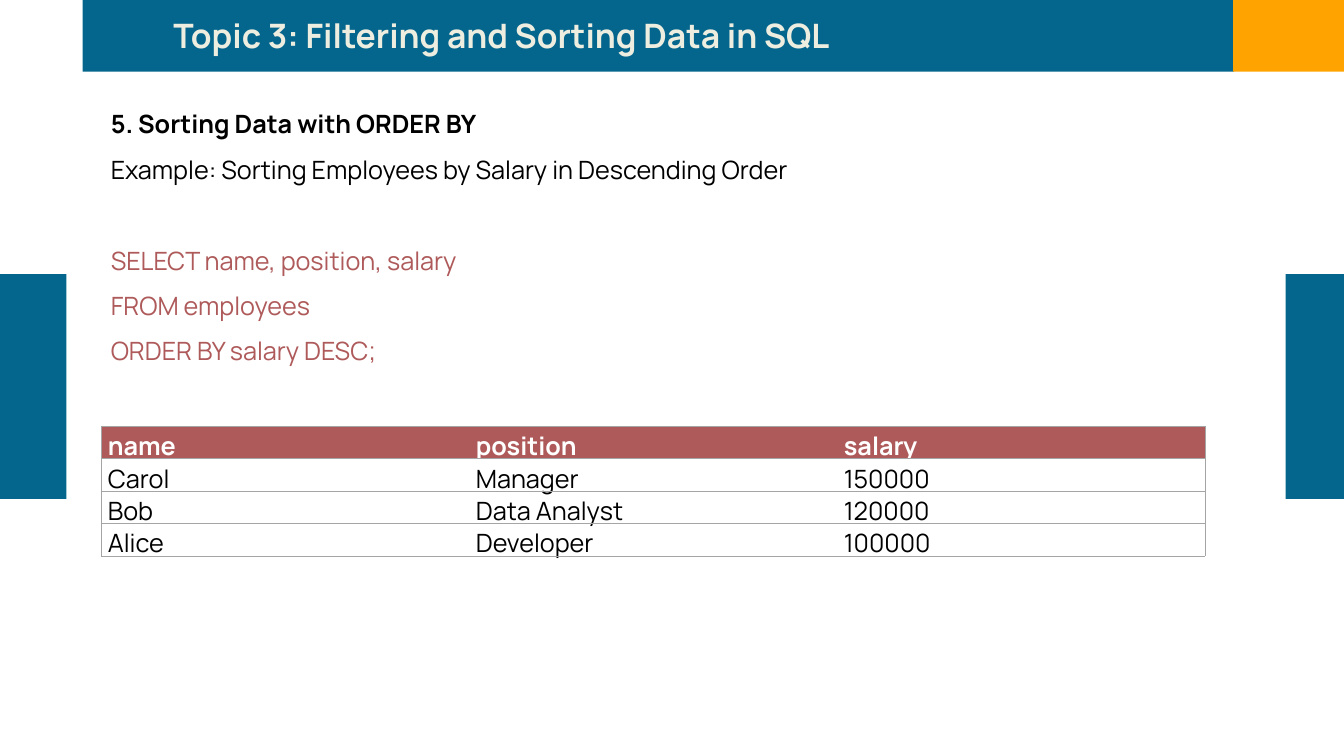
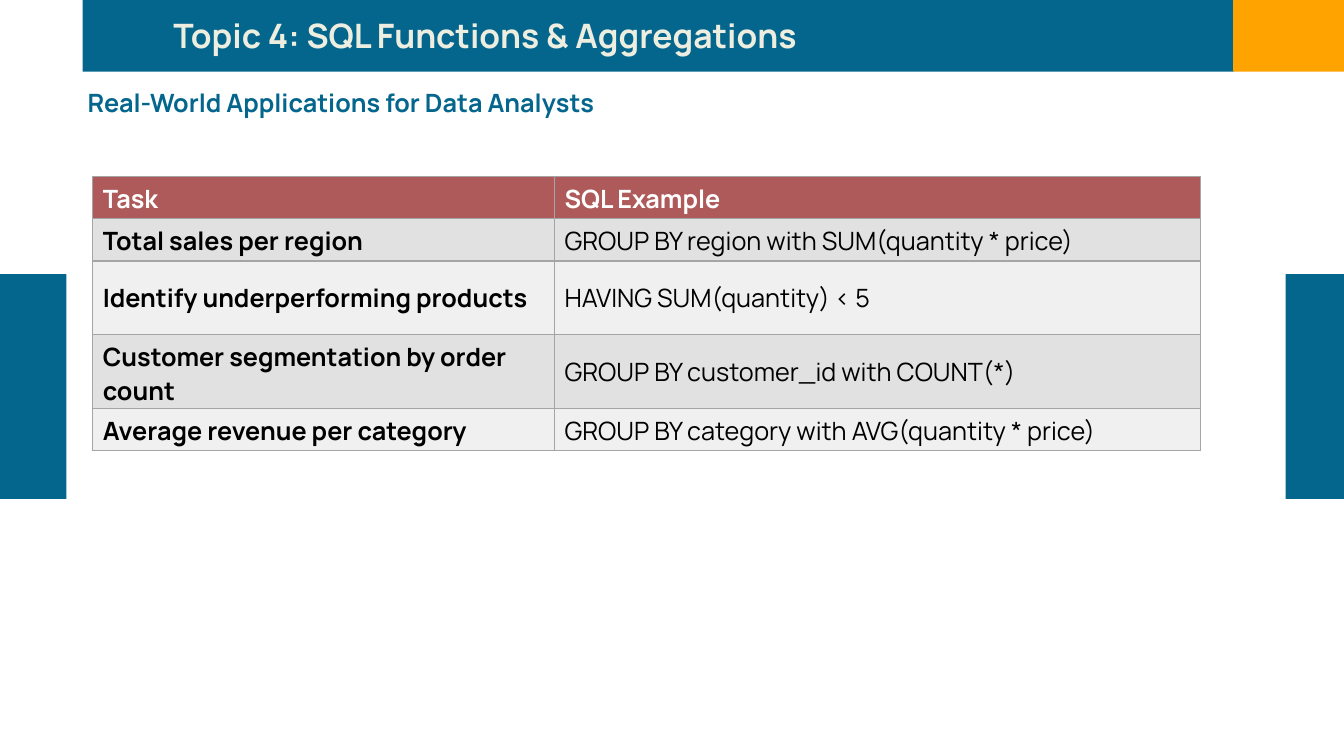
from dataclasses import dataclass

from lxml.etree import SubElement
from pptx import Presentation
from pptx.dml.color import RGBColor
from pptx.enum.shapes import MSO_SHAPE
from pptx.enum.text import MSO_ANCHOR
from pptx.oxml.ns import qn
from pptx.util import Inches, Pt


@dataclass(frozen=True)
class Theme:
    font: str = "Manrope"
    title_size: int = 24
    body_size: int = 18
    blue: str = "05668D"
    orange: str = "FFA300"
    cream: str = "EDEDE0"
    red: str = "AF5A5A"
    black: str = "000000"
    white: str = "FFFFFF"
    border: str = "A5A5A5"
    stripes: tuple = ("E1E1E1", "F0F0F0")


THEME = Theme()
BANDS = (
    ((0.82, 0, 11.42, 0.71), THEME.blue),
    ((12.23, 0, 1.1, 0.71), THEME.orange),
    ((0, 2.72, 0.66, 2.23), THEME.blue),
    ((12.75, 2.72, 0.58, 2.23), THEME.blue),
)


def style_paragraph(para, color, bold=False, size=THEME.body_size):
    for span in para.runs:
        span.font.name = THEME.font
        span.font.size = Pt(size)
        span.font.bold = bold
        span.font.color.rgb = RGBColor.from_string(color)


def add_text(page, box, lines, size=THEME.body_size, anchor=MSO_ANCHOR.TOP):
    frame = page.shapes.add_textbox(*map(Inches, box)).text_frame
    frame.word_wrap = True
    frame.vertical_anchor = anchor
    frame.text = "\n".join(text for text, color, bold in lines)
    for para, (text, color, bold) in zip(frame.paragraphs, lines):
        style_paragraph(para, color, bold, size)
    return frame


def add_page(deck, title):
    page = deck.slides.add_slide(deck.slide_layouts[6])
    for box, color in BANDS:
        band = page.shapes.add_shape(MSO_SHAPE.RECTANGLE, *map(Inches, box))
        band.shadow.inherit = False
        band.fill.solid()
        band.fill.fore_color.rgb = RGBColor.from_string(color)
        band.line.fill.background()
    add_text(page, (1.62, 0.1, 9.05, 0.5), [(title, THEME.cream, True)], THEME.title_size)
    return page


def set_borders(cell, width, hidden=()):
    properties = cell._tc.get_or_add_tcPr()
    for index, edge in enumerate(("lnL", "lnR", "lnT", "lnB")):
        line = SubElement(properties, qn(f"a:{edge}"), w=str(Pt(width)))
        if edge in hidden:
            SubElement(line, qn("a:noFill"))
        else:
            fill = SubElement(line, qn("a:solidFill"))
            SubElement(fill, qn("a:srgbClr"), val=THEME.border)
        properties.insert(index, line)


def add_grid(page, left, top, widths, heights, rows):
    box = map(Inches, (left, top, sum(widths), sum(heights)))
    table = page.shapes.add_table(len(rows), len(widths), *box).table
    for column, width in zip(table.columns, widths):
        column.width = Inches(width)
    for row, height, values in zip(table.rows, heights, rows):
        row.height = Inches(height)
        for cell, value in zip(row.cells, values):
            cell.text_frame.text = value
    return table


def paint_cell(cell, fill, color, bold):
    if fill:
        cell.fill.solid()
        cell.fill.fore_color.rgb = RGBColor.from_string(fill)
    else:
        cell.fill.background()
    style_paragraph(cell.text_frame.paragraphs[0], color, bold)


def add_result_table(page, left, top, rows):
    column_count = len(rows[0])
    table = add_grid(page, left, top, [3.65] * column_count, [0.32] * len(rows), rows)
    for row_index, row in enumerate(table.rows):
        header = row_index == 0
        for column_index, cell in enumerate(row.cells):
            paint_cell(cell, THEME.red if header else None,
                       THEME.white if header else THEME.black, header)
            cell.margin_left = cell.margin_right = Inches(0.07)
            cell.margin_top = cell.margin_bottom = 0
            para = cell.text_frame.paragraphs[0]
            para.line_spacing = 1.07
            para.space_after = Pt(8)
            hidden = set()
            if column_index > 0:
                hidden.add("lnL")
            if column_index < column_count - 1:
                hidden.add("lnR")
            set_borders(cell, 0.5, hidden)


def add_task_table(page, left, top, rows):
    table = add_grid(page, left, top, (4.58, 6.41), (0.42, 0.42, 0.73, 0.73, 0.42), rows)
    for row_index, row in enumerate(table.rows):
        header = row_index == 0
        fill = THEME.red if header else THEME.stripes[(row_index - 1) % 2]
        for column_index, cell in enumerate(row.cells):
            paint_cell(cell, fill, THEME.white if header else THEME.black,
                       header or column_index == 0)
            cell.vertical_anchor = MSO_ANCHOR.MIDDLE
            set_borders(cell, 1)


def add_sorting_page(deck):
    page = add_page(deck, "Topic 3: Filtering and Sorting Data in SQL")
    frame = add_text(page, (1, 0.88, 10.28, 2.78), [
        ("5. Sorting Data with ORDER BY", THEME.black, True),
        ("Example: Sorting Employees by Salary in Descending Order", THEME.black, False),
        ("SELECT name, position, salary", THEME.red, False),
        ("FROM employees", THEME.red, False),
        ("ORDER BY salary DESC;", THEME.red, False),
    ])
    for para in frame.paragraphs:
        para.line_spacing = 1.5
    frame.paragraphs[2].space_before = Pt(32.5)
    add_result_table(page, 1, 4.23, (
        ("name", "position", "salary"),
        ("Carol", "Manager", "150000"),
        ("Bob", "Data Analyst", "120000"),
        ("Alice", "Developer", "100000"),
    ))


def add_applications_page(deck):
    page = add_page(deck, "Topic 4: SQL Functions & Aggregations")
    add_task_table(page, 0.92, 1.75, (
        ("Task", "SQL Example"),
        ("Total sales per region", "GROUP BY region with SUM(quantity * price)"),
        ("Identify underperforming products", "HAVING SUM(quantity) < 5"),
        ("Customer segmentation by order count", "GROUP BY customer_id with COUNT(*)"),
        ("Average revenue per category", "GROUP BY category with AVG(quantity * price)"),
    ))
    heading = ("Real-World Applications for Data Analysts", THEME.blue, True)
    add_text(page, (0.77, 0.8, 11.98, 0.44), [heading], anchor=MSO_ANCHOR.MIDDLE)


def main():
    deck = Presentation()
    deck.slide_width = Inches(13.33)
    deck.slide_height = Inches(7.5)
    add_sorting_page(deck)
    add_applications_page(deck)
    deck.save("out.pptx")


if __name__ == "__main__":
    main()
